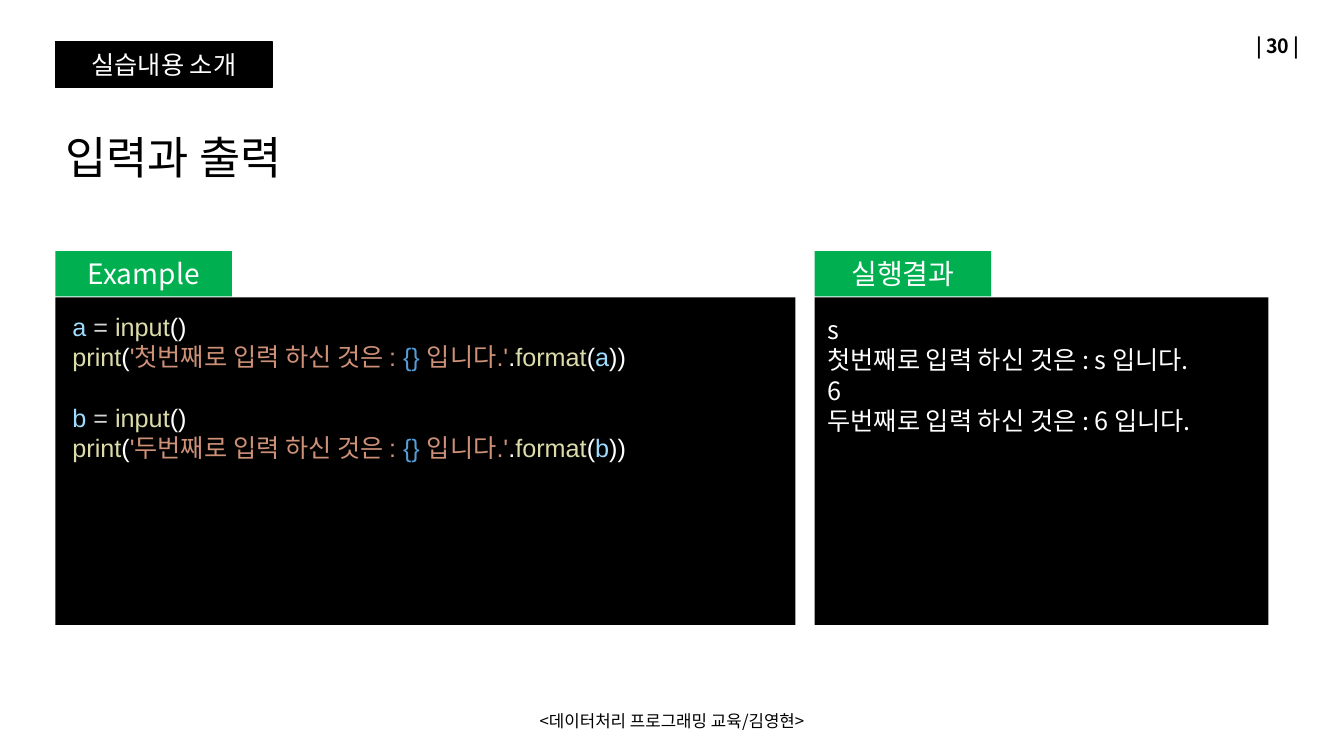
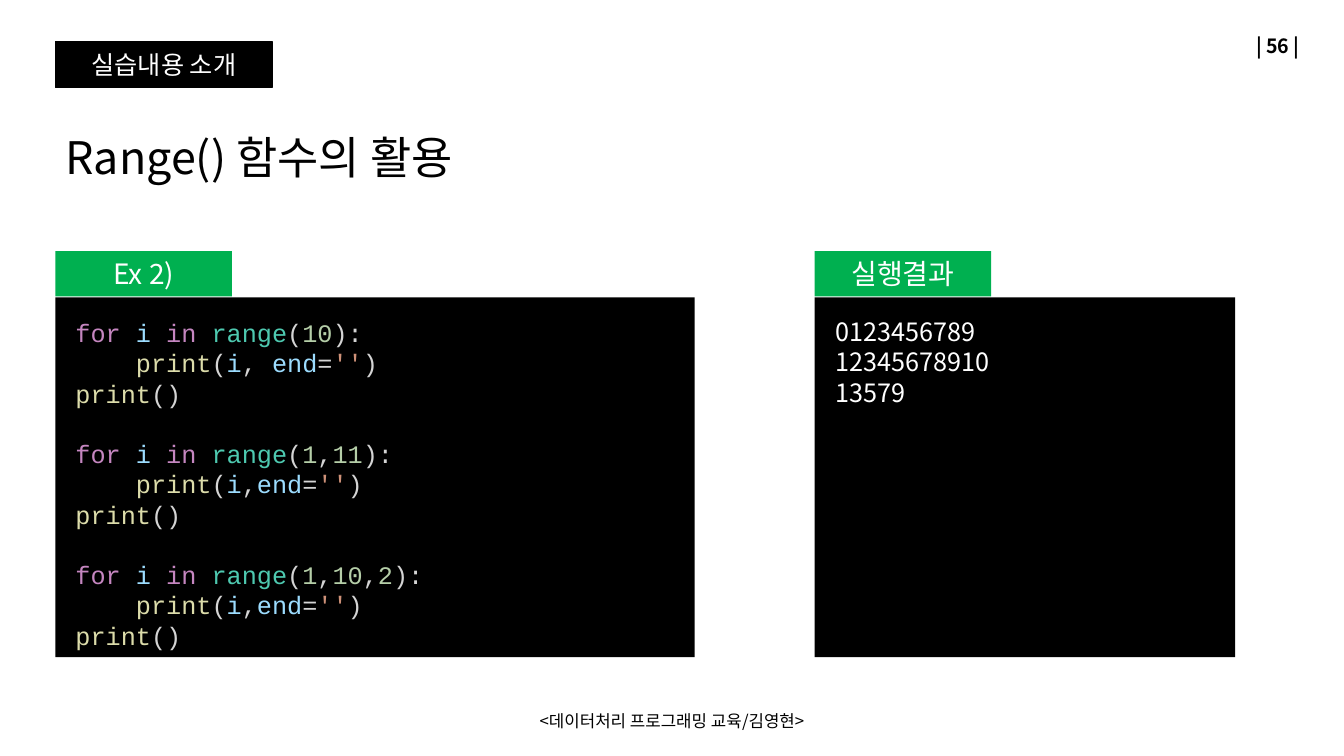
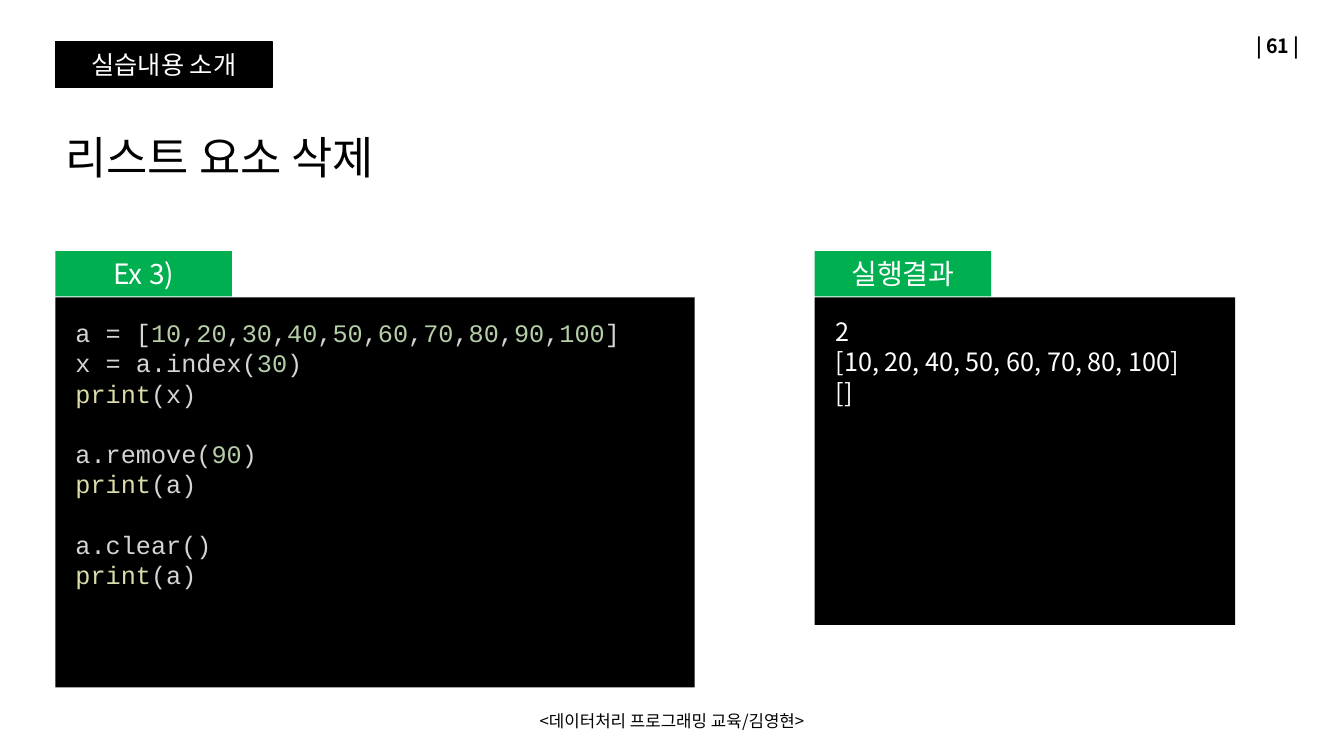
from dataclasses import dataclass
from itertools import groupby

from lxml import etree
from pptx import Presentation
from pptx.dml.color import RGBColor
from pptx.enum.shapes import MSO_SHAPE
from pptx.enum.text import MSO_ANCHOR, PP_ALIGN
from pptx.oxml.ns import qn
from pptx.util import Inches, Pt

RECT = MSO_SHAPE.RECTANGLE
TOP, MIDDLE, BOTTOM = MSO_ANCHOR.TOP, MSO_ANCHOR.MIDDLE, MSO_ANCHOR.BOTTOM
LEFT, CENTER, RIGHT = PP_ALIGN.LEFT, PP_ALIGN.CENTER, PP_ALIGN.RIGHT


@dataclass(frozen=True)
class Theme:
    black: str = "000000"
    white: str = "FFFFFF"
    green: str = "00B050"
    sans: str = "Noto Sans CJK KR"
    title: int = 32
    label: int = 20
    body: int = 18
    page: int = 14
    footer: int = 12
    leading: float = 21.6


T = Theme()
SYNTAX = {
    "plain": "D4D4D4", "bright": "FFFFFF", "keyword": "C586C0", "variable": "9CDCFE",
    "function": "DCDCAA", "type": "4EC9B0", "number": "B5CEA8", "string": "CE9178",
    "brace": "569CD6",
}

SECTION = "실습내용 소개"
FOOTER = "<데이터처리 프로그래밍 교육/김영현>"
RESULT = "실행결과"
SLIDE_W, SLIDE_H = 13.33, 7.5
CODE_X, RESULT_X = 0.55, 8.08
PANEL_Y, TAB_W, TAB_H = 2.95, 1.75, 0.45

SLIDES = [
    {
        "page": 30,
        "title": "입력과 출력",
        "label": "Example",
        "font": "Arial",
        "punctuation": "bright",
        "words": {"a": "variable", "b": "variable", "input": "function",
                  "print": "function", "format": "function"},
        "code": [
            ["a = input()", "print('첫번째로 입력 하신 것은 : {} 입니다.'.format(a))"],
            ["b = input()", "print('두번째로 입력 하신 것은 : {} 입니다.'.format(b))"],
        ],
        "result": ["s", "첫번째로 입력 하신 것은 : s 입니다.",
                   "6", "두번째로 입력 하신 것은 : 6 입니다."],
        "code_panel": (7.34, 3.25),
        "result_panel": (4.5, 3.25),
        "code_offset": (0.07, 0.09),
        "result_offset": (0.03, 0.12),
    },
    {
        "page": 56,
        "title": "Range() 함수의 활용",
        "label": "Ex 2)",
        "font": "Courier New",
        "punctuation": "plain",
        "words": {"for": "keyword", "in": "keyword", "i": "variable", "end": "variable",
                  "range": "type", "print": "function"},
        "code": [
            ["for i in range(10):", "    print(i, end='')", "print()"],
            ["for i in range(1,11):", "    print(i,end='')", "print()"],
            ["for i in range(1,10,2):", "    print(i,end='')", "print()"],
        ],
        "result": ["0123456789", "12345678910", "13579"],
        "code_panel": (6.34, 3.57),
        "result_panel": (4.17, 3.57),
        "code_offset": (0.1, 0.15),
        "result_offset": (0.11, 0.14),
    },
    {
        "page": 61,
        "title": "리스트 요소 삭제",
        "label": "Ex 3)",
        "font": "Courier New",
        "punctuation": "plain",
        "words": {"print": "function"},
        "code": [
            ["a = [10,20,30,40,50,60,70,80,90,100]", "x = a.index(30)", "print(x)"],
            ["a.remove(90)", "print(a)"],
            ["a.clear()", "print(a)"],
        ],
        "result": ["2", "[10, 20, 40, 50, 60, 70, 80, 100]", "[]"],
        "code_panel": (6.34, 3.87),
        "result_panel": (4.17, 3.25),
        "code_offset": (0.1, 0.15),
        "result_offset": (0.11, 0.14),
    },
]


def rgb(color):
    return RGBColor.from_string(color)


def style(p, size, color, font=T.sans, align=LEFT, bold=False):
    p.alignment = align
    p.font.size = Pt(size)
    p.font.bold = bold
    p.font.color.rgb = rgb(color)
    p.font.name = font
    defaults = p._p.pPr.find(qn("a:defRPr"))
    etree.SubElement(defaults, qn("a:ea")).set("typeface", T.sans)


def write(sp, text, size, color, align=LEFT, anchor=MIDDLE, bold=False):
    tf = sp.text_frame
    tf.word_wrap = True
    tf.vertical_anchor = anchor
    p = tf.paragraphs[0]
    p.text = text
    style(p, size, color, align=align, bold=bold)


def add_text(s, box):
    sp = s.shapes.add_textbox(*map(Inches, box))
    sp.text_frame.word_wrap = True
    sp.text_frame.vertical_anchor = TOP
    return sp


def add_block(s, box, fill):
    sp = s.shapes.add_shape(RECT, *map(Inches, box))
    sp.shadow.inherit = False
    sp.fill.solid()
    sp.fill.fore_color.rgb = rgb(fill)
    sp.line.fill.background()
    return sp


def char_kinds(line):
    quoted = False
    for c in line:
        if c == "'":
            quoted = not quoted
            yield c, "string"
        elif quoted:
            yield c, "brace" if c in "{}" else "string"
        elif c.isalnum():
            yield c, "word"
        else:
            yield c, "plain" if c == "=" else "punctuation"


def tokens(line, words, punctuation):
    for kind, pairs in groupby(char_kinds(line), key=lambda pair: pair[1]):
        text = "".join(c for c, _ in pairs)
        if kind == "word":
            kind = "number" if text.isdigit() else words.get(text, "plain")
        elif kind == "punctuation":
            kind = punctuation
        yield text, SYNTAX[kind]


def add_lines(tf, groups, font, split):
    p = None
    for group in groups:
        for row, line in enumerate(group):
            first = p is None
            p = tf.paragraphs[0] if first else tf.add_paragraph()
            p.line_spacing = Pt(T.leading)
            if row == 0 and not first:
                p.space_before = Pt(T.leading)
            style(p, T.body, T.white, font)
            for text, color in split(line):
                r = p.add_run()
                r.text = text
                if color != T.white:
                    r.font.color.rgb = rgb(color)


def add_panel(s, x, size, offset, label, groups, font, split):
    w, h = size
    dx, dy = offset
    add_block(s, (x, PANEL_Y, w, h), T.black)
    tab = add_block(s, (x, PANEL_Y - TAB_H - 0.01, TAB_W, TAB_H), T.green)
    write(tab, label, T.label, T.white, CENTER)
    sp = add_text(s, (x + dx, PANEL_Y + dy, w - dx, h - dy))
    add_lines(sp.text_frame, groups, font, split)


def add_frame(s, title, page):
    sp = s.shapes.title
    sp.left, sp.top, sp.width, sp.height = map(Inches, (CODE_X, 1.16, 9.73, 0.71))
    write(sp, title, T.title, T.black, anchor=BOTTOM)
    badge = add_block(s, (CODE_X, 0.41, 2.15, 0.46), T.black)
    badge.line.color.rgb = rgb(T.black)
    badge.line.width = Pt(1)
    write(badge, SECTION, T.body, T.white, CENTER)
    number = add_text(s, (9.99, 0.25, 3, 0.4))
    write(number, f"| {page} |", T.page, T.black, RIGHT, bold=True)
    footer = add_text(s, ((SLIDE_W - 4.5) / 2, 6.95, 4.5, 0.4))
    write(footer, FOOTER, T.footer, T.black, CENTER)


def main():
    prs = Presentation()
    prs.slide_width, prs.slide_height = Inches(SLIDE_W), Inches(SLIDE_H)
    for d in SLIDES:
        s = prs.slides.add_slide(prs.slide_layouts[5])
        add_frame(s, d["title"], d["page"])
        add_panel(s, CODE_X, d["code_panel"], d["code_offset"], d["label"], d["code"],
                  d["font"], lambda line: tokens(line, d["words"], d["punctuation"]))
        add_panel(s, RESULT_X, d["result_panel"], d["result_offset"], RESULT,
                  [d["result"]], T.sans, lambda line: [(line, T.white)])
    prs.save("out.pptx")


if __name__ == "__main__":
    main()
